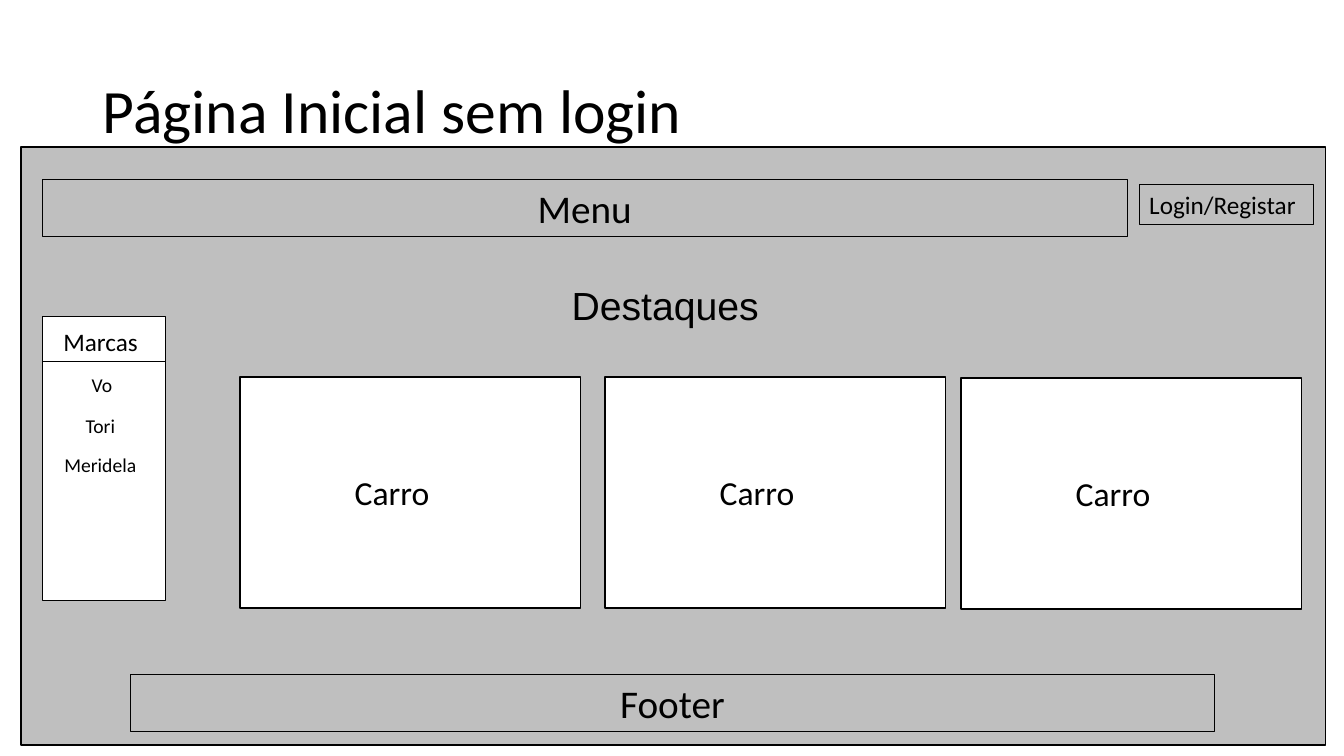
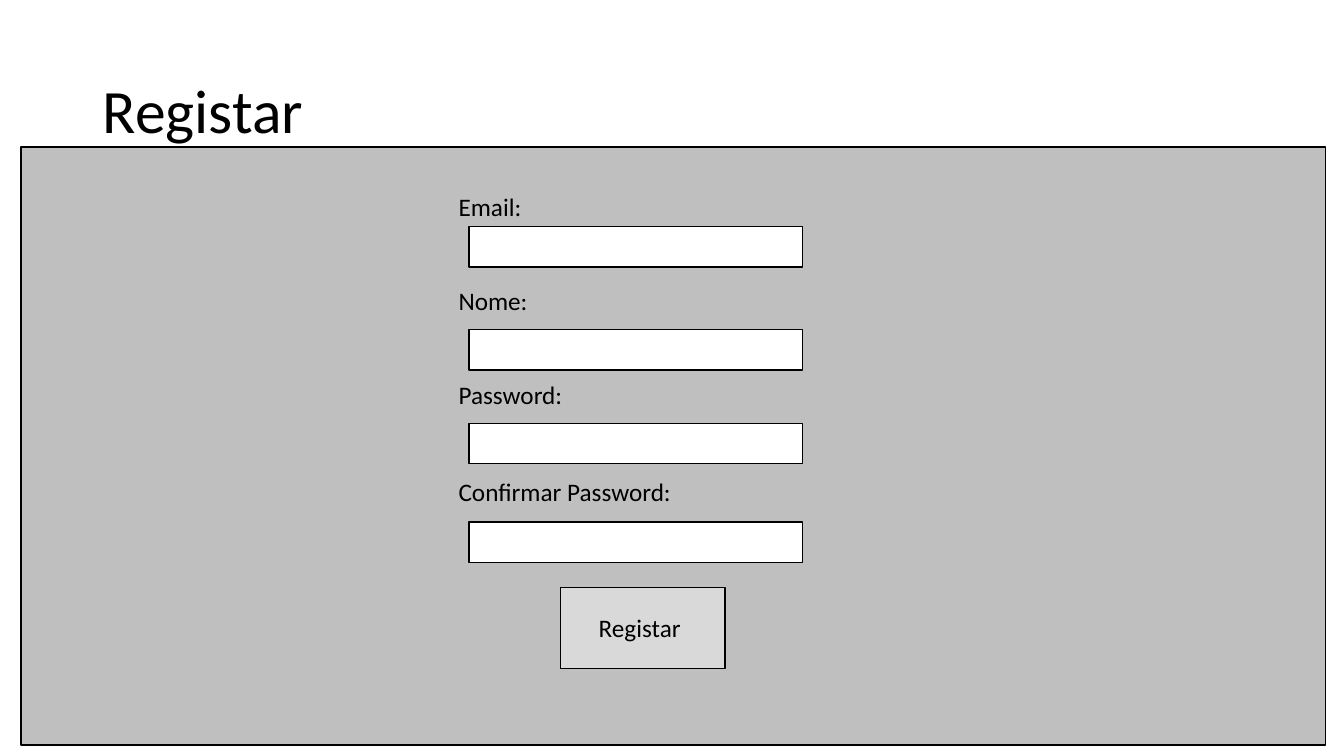
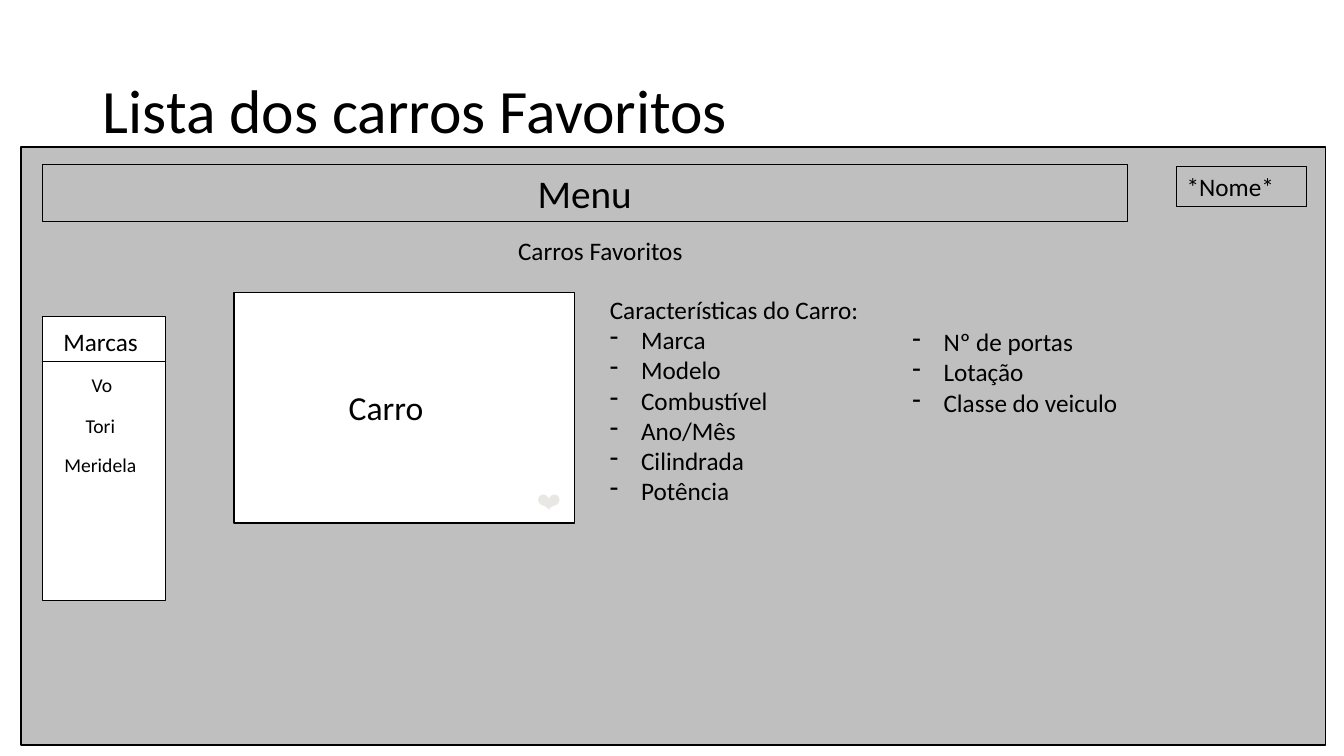
from pptx import Presentation
from pptx.dml.color import RGBColor
from pptx.enum.shapes import MSO_CONNECTOR as CONN, MSO_SHAPE as SHAPE
from pptx.enum.text import MSO_ANCHOR as ANCHOR, MSO_AUTO_SIZE as AUTO, PP_ALIGN as ALIGN
from pptx.oxml.ns import qn
from pptx.util import Inches, Pt
from lxml.etree import SubElement

BLACK, WHITE, PANEL, BUTTON, HEART = "000000", "FFFFFF", "BFBFBF", "D9D9D9", "E8E7E3"


def rgb(value):
    return RGBColor.from_string(value)


class Wireframe:
    """Holds the shared style and the slide being drawn."""

    font = "Calibri"

    def __init__(self):
        self.prs = Presentation()
        self.prs.slide_width, self.prs.slide_height = Inches(13.33), Inches(7.5)
        self.s = None

    def run(self, p, text, size, font=None, color=BLACK):
        r = p.add_run()
        r.text = text
        r.font.size, r.font.name = Pt(size), font or self.font
        r.font.color.rgb = rgb(color)

    def page(self, title):
        self.s = self.prs.slides.add_slide(self.prs.slide_layouts[5])
        sp = self.s.shapes.title
        sp.left, sp.top, sp.width, sp.height = map(Inches, (0.92, 0.4, 11.5, 1.45))
        tf = sp.text_frame
        tf.auto_size, tf.vertical_anchor = AUTO.NONE, ANCHOR.MIDDLE
        p = tf.paragraphs[0]
        p.alignment, p.line_spacing = ALIGN.LEFT, 0.9
        self.run(p, title, 44)
        self.box(0.21, 1.46, 12.94, 5.93, PANEL)

    def box(self, x, y, w, h, fill=None, line=1):
        sp = self.s.shapes.add_shape(SHAPE.RECTANGLE, *map(Inches, (x, y, w, h)))
        sp.shadow.inherit = False
        if fill:
            sp.fill.solid()
            sp.fill.fore_color.rgb = rgb(fill)
        else:
            sp.fill.background()
        sp.line.color.rgb, sp.line.width = rgb(BLACK), Pt(line)
        return sp

    def framed(self, text, x, y, w, h, size, align=ALIGN.LEFT):
        tf = self.box(x, y, w, h, line=0.75).text_frame
        tf.vertical_anchor = ANCHOR.TOP
        p = tf.paragraphs[0]
        p.alignment = align
        self.run(p, text, size)

    def bar(self, text, x, y):
        self.framed(text, x, y, 10.76, 0.57, 28, ALIGN.CENTER)

    def text_frame(self, x, y, w, h):
        tf = self.s.shapes.add_textbox(*map(Inches, (x, y, w, h))).text_frame
        tf.word_wrap = True
        return tf

    def label(self, text, x, y, w, h=0.4, size=18, font=None, color=BLACK):
        tf = self.text_frame(x, y, w, h)
        self.run(tf.paragraphs[0], text, size, font, color)

    def bullets(self, items, x, y, w, h, heading=None):
        tf = self.text_frame(x, y, w, h)
        p = tf.paragraphs[0]
        if heading:
            self.run(p, heading, 18)
            p = tf.add_paragraph()
        for i, item in enumerate(items):
            if i:
                p = tf.add_paragraph()
            pPr = p._p.get_or_add_pPr()
            pPr.set("marL", str(Inches(0.31)))
            pPr.set("indent", str(-Inches(0.31)))
            SubElement(pPr, qn("a:buFontTx"))
            SubElement(pPr, qn("a:buChar"), char="-")
            self.run(p, item, 18)

    def rule(self, x1, y1, x2, y2):
        c = self.s.shapes.add_connector(CONN.STRAIGHT, *map(Inches, (x1, y1, x2, y2)))
        c.line.color.rgb, c.line.width = rgb(BLACK), Pt(0.5)
        SubElement(c._element.spPr, qn("a:effectLst"))

    def car(self, x, y):
        self.box(x, y, 3.38, 2.29, WHITE)
        self.label("Carro", x + 1.04, y + 0.89, 1, 0.5, 24)

    def brands(self):
        self.box(0.42, 3.14, 1.22, 2.82, WHITE)
        self.label("Marcas", 0.53, 3.19, 1)
        self.rule(0.42, 3.59, 1.65, 3.59)
        for name, x, y, w in (("Vo", 0.81, 3.65, 0.52), ("Tori", 0.75, 4.06, 0.59),
                              ("Meridela", 0.54, 4.44, 1)):
            self.label(name, x, y, w, 0.34, 14)

    def field(self, text, label_y, box_y, w):
        self.label(text, 4.45, label_y, w)
        self.box(4.65, box_y, 3.31, 0.4, WHITE)


def home(d):
    d.page("Página Inicial sem login")
    d.label("Destaques", 5.57, 2.74, 2.18, 0.57, 28, "Arial")
    d.bar("Menu", 0.42, 1.78)
    d.bar("Footer", 1.29, 6.69)
    for x, y in ((2.38, 3.74), (6, 3.74), (9.53, 3.75)):
        d.car(x, y)
    d.brands()
    d.framed("Login/Registar", 11.3, 1.83, 1.73, 0.4, 18)


def register(d):
    d.page("Registar")
    for field in (("Email:", 1.85, 2.25, 0.9), ("Nome:", 2.78, 3.27, 1.37),
                  ("Password:", 3.71, 4.2, 1.37), ("Confirmar Password:", 4.68, 5.18, 2.47)):
        d.field(*field)
    d.box(5.56, 5.83, 1.63, 0.8, BUTTON)
    d.label("Registar", 5.84, 6.03, 1.07)


def favourites(d):
    d.page("Lista dos carros Favoritos")
    d.bar("Menu", 0.42, 1.63)
    d.framed("*Nome*", 11.67, 1.65, 1.29, 0.4, 18)
    d.car(2.32, 2.9)
    d.bullets(("Marca", "Modelo", "Combustível", "Ano/Mês", "Cilindrada", "Potência"),
              5.95, 2.87, 2.72, 2.52, "Características do Carro:")
    d.bullets(("Nº de portas", "Lotação", "Classe do veiculo"), 8.95, 3.19, 2.72, 1.01)
    d.brands()
    d.label("Carros Favoritos", 5.04, 2.29, 1.96)
    d.label("❤️", 5.23, 4.78, 0.57, font="Roboto", color=HEART)


def main():
    d = Wireframe()
    for draw in (home, register, favourites):
        draw(d)
    d.prs.save("out.pptx")


if __name__ == "__main__":
    main()
